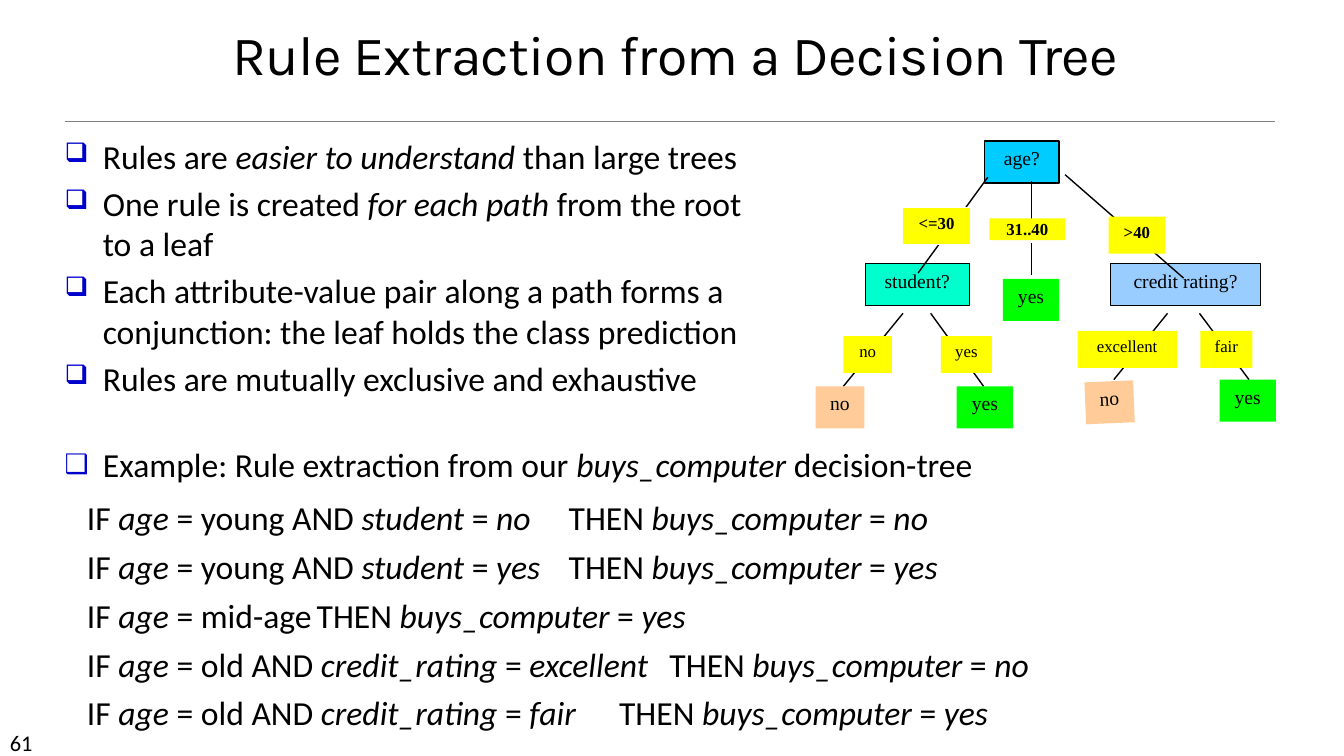
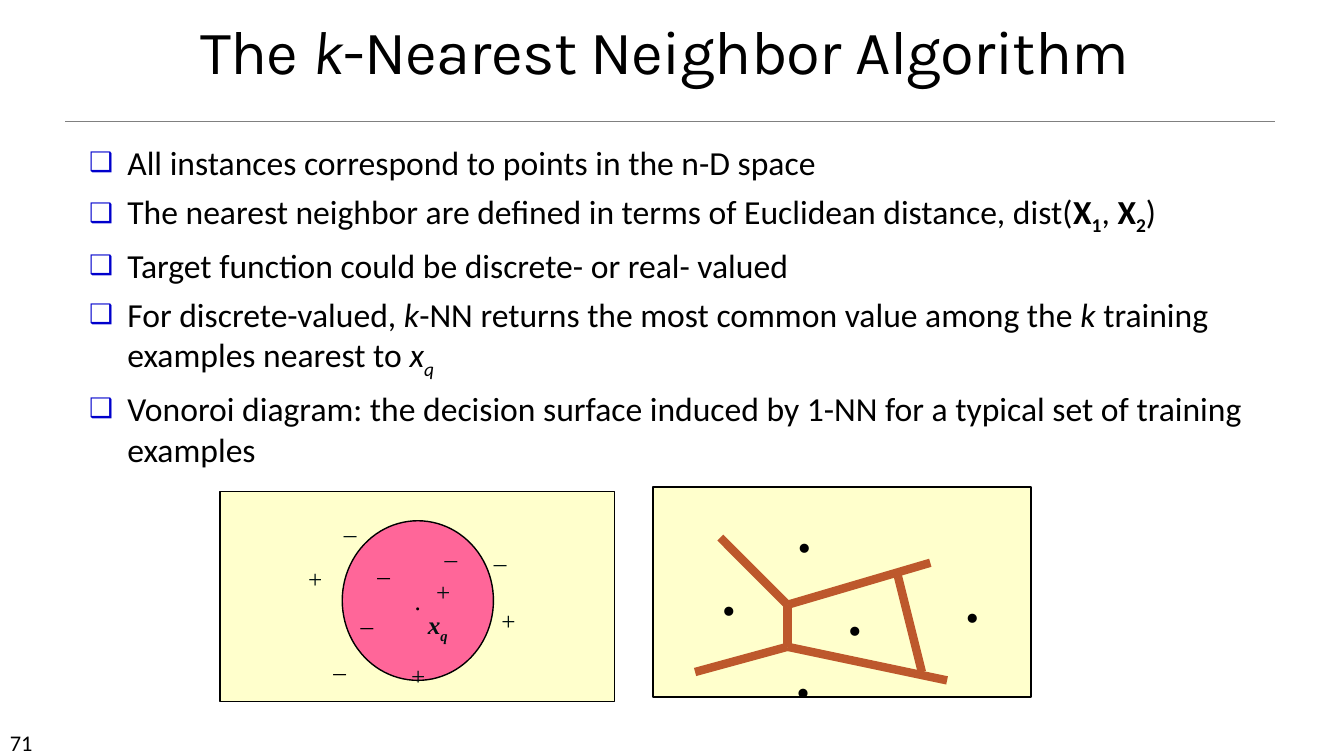
from typing import Any, NamedTuple, Optional

from lxml.etree import SubElement
from pptx import Presentation
from pptx.dml.color import RGBColor
from pptx.enum.shapes import MSO_CONNECTOR, MSO_SHAPE
from pptx.enum.text import MSO_ANCHOR, MSO_AUTO_SIZE, PP_ALIGN
from pptx.oxml.ns import qn
from pptx.util import Emu, Inches, Pt

W, H = Inches(13.3333), Inches(7.5)
COLS, ROWS = 160, 90
COLORS = {
    "ink": "000000", "soft ink": "001010", "rule": "808080", "bullet": "0000CC",
    "white": "FFFFFF", "sky": "00CCFF", "mint": "00FFCC", "blue": "99CCFF",
    "yellow": "FFFF00", "peach": "FFCC99", "green": "00FF00",
    "cream": "FFFFCC", "pink": "FF6699", "rust": "BD582C",
}
SANS, SERIF, DISPLAY = "Calibri", "Times New Roman", "Karla"
BODY = {"name": SANS, "size": Pt(24)}
STYLES = {"i": {"italic": True}, "b": {"bold": True}, "s": {}}
FRAME = {"word_wrap": True, "auto_size": MSO_AUTO_SIZE.NONE}
LOOSE = {"word_wrap": False, "auto_size": MSO_AUTO_SIZE.SHAPE_TO_FIT_TEXT}
NO_MARGINS = dict.fromkeys(("margin_left", "margin_right", "margin_top", "margin_bottom"), 0)


class Box(NamedTuple):
    """A place on the grid, in columns and rows."""
    x: float
    y: float
    w: float
    h: float


class Node(NamedTuple):
    text: str
    box: Box
    fill: str
    line: Optional[str] = None
    size: float = 14
    bold: bool = False
    turn: float = 0


class Rule(NamedTuple):
    """One IF ... THEN row; tab is where THEN starts, in inches."""
    age: str
    attr: str
    value: str
    outcome: str
    tab: float


class Mark(NamedTuple):
    x: float
    y: float
    text: str
    color: str = "soft ink"


def col(n: float) -> Emu:
    return Emu(round(W * n / COLS))


def row(n: float) -> Emu:
    return Emu(round(H * n / ROWS))


def rgb(name: str) -> RGBColor:
    return RGBColor.from_string(COLORS[name])


def place(box: Box) -> tuple:
    return col(box.x), row(box.y), col(box.w), row(box.h)


def apply(obj: Any, fmt: dict) -> None:
    for key, value in fmt.items():
        setattr(obj, key, value)


def add_runs(p: Any, runs: list, fmt: dict, color: str = "ink") -> None:
    """A run is plain text, or (text, style letters) with i, b or s for subscript."""
    for run in runs:
        text, style = (run, "") if isinstance(run, str) else run
        r = p.add_run()
        r.text = text
        apply(r.font, fmt)
        for letter in style:
            apply(r.font, STYLES[letter])
        r.font.color.rgb = rgb(color)
        if "s" in style:
            r.font._element.set("baseline", "-25000")


def set_bullet(p: Any) -> None:
    pPr = p._p.get_or_add_pPr()
    apply_indent(pPr, 0.38, -0.38)
    SubElement(SubElement(pPr, qn("a:buClr")), qn("a:srgbClr"), val=COLORS["bullet"])
    SubElement(pPr, qn("a:buSzPct"), val="80000")
    SubElement(pPr, qn("a:buChar"), char="❑")


def apply_indent(pPr: Any, left: float, first: float) -> None:
    pPr.set("marL", str(Inches(left)))
    pPr.set("indent", str(Inches(first)))


def set_tab(p: Any, tab: float) -> None:
    """Unbulleted row with one tab stop."""
    pPr = p._p.get_or_add_pPr()
    apply_indent(pPr, 0, 0.22)
    SubElement(pPr, qn("a:buNone"))
    tabs = SubElement(pPr, qn("a:tabLst"))
    SubElement(tabs, qn("a:tab"), pos=str(Inches(tab)), algn="l")


def next_paragraph(tf: Any, gap: float) -> Any:
    """First paragraph if still empty, otherwise a new one with space before."""
    first = tf.paragraphs[0]
    fresh = not first.runs
    p = first if fresh else tf.add_paragraph()
    p.space_before = Pt(0 if fresh else gap)
    return p


def add_bullets(sp: Any, items: list, gap: float) -> None:
    tf = sp.text_frame
    apply(tf, FRAME)
    for runs in items:
        p = next_paragraph(tf, gap)
        set_bullet(p)
        add_runs(p, runs, BODY)


def add_rules(sp: Any, rules: list) -> None:
    for n, rule in enumerate(rules):
        p = next_paragraph(sp.text_frame, 6 if n else 9)
        set_tab(p, rule.tab)
        extra = [" AND ", (rule.attr, "i"), " = ", (rule.value, "i")] if rule.attr else []
        add_runs(p, ["IF ", ("age", "i"), f" = {rule.age}", *extra, "\tTHEN ",
                     ("buys_computer", "i"), " = ", (rule.outcome, "i")], BODY)


def add_text(s: Any, box: Box, runs: list, fmt: dict, color: str = "ink",
             frame: dict = LOOSE) -> None:
    tf = s.shapes.add_textbox(*place(box)).text_frame
    apply(tf, frame)
    add_runs(tf.paragraphs[0], runs, fmt, color)


def add_line(s: Any, ends: tuple, color: str = "ink", width: float = 1) -> None:
    x1, y1, x2, y2 = ends
    cx = s.shapes.add_connector(MSO_CONNECTOR.STRAIGHT, col(x1), row(y1), col(x2), row(y2))
    cx.line.color.rgb = rgb(color)
    cx.line.width = Pt(width)
    SubElement(cx._element.spPr, qn("a:effectLst"))


def add_shape(s: Any, box: Box, fill: str, line: Optional[str] = "ink",
              kind: MSO_SHAPE = MSO_SHAPE.RECTANGLE) -> Any:
    sp = s.shapes.add_shape(kind, *place(box))
    sp.shadow.inherit = False
    sp.fill.solid()
    sp.fill.fore_color.rgb = rgb(fill)
    if line:
        sp.line.color.rgb = rgb(line)
        sp.line.width = Pt(1)
    else:
        sp.line.fill.background()
    return sp


def label(sp: Any, text: str, fmt: dict, anchor: MSO_ANCHOR) -> None:
    tf = sp.text_frame
    apply(tf, {"word_wrap": False, "vertical_anchor": anchor})
    p = tf.paragraphs[0]
    p.alignment = PP_ALIGN.CENTER
    add_runs(p, [text], {"name": SERIF, **fmt})


def add_node(s: Any, node: Node) -> None:
    sp = add_shape(s, node.box, node.fill, node.line)
    sp.rotation = node.turn
    slim = node.box.h < 4
    label(sp, node.text, {"size": Pt(node.size), "bold": node.bold},
          MSO_ANCHOR.MIDDLE if slim else MSO_ANCHOR.TOP)
    if slim:
        apply(sp.text_frame, NO_MARGINS)


def new_slide(prs: Any, number: int, title: list, title_box: Box, size: float,
              anchor: MSO_ANCHOR, body_box: Box) -> tuple:
    """Slide with title, rule and number; returns it with its placed body."""
    s = prs.slides.add_slide(prs.slide_layouts[1])
    add_line(s, (7.8, 14.4, 151.8, 14.4), "rule", 0.5)
    add_text(s, Box(0, 86.2, 14, 3.6), [str(number)], {"name": SANS, "size": Pt(16)},
             frame=FRAME)
    body = s.placeholders[1]
    for sp, box in ((s.shapes.title, title_box), (body, body_box)):
        apply(sp, dict(zip(("left", "top", "width", "height"), place(box))))
    tf = s.shapes.title.text_frame
    apply(tf, {**FRAME, "vertical_anchor": anchor})
    p = tf.paragraphs[0]
    apply(p, {"alignment": PP_ALIGN.CENTER, "line_spacing": 0.85})
    add_runs(p, title, {"name": DISPLAY, "size": Pt(size)})
    for r in p.runs:
        r.font._element.set("spc", "-50")
    return s, body


TESTS = [
    Node("age?", Box(117.2, 16.8, 8.9, 5), "sky", "ink"),
    Node("student?", Box(103, 31.4, 12.4, 5), "mint", "ink"),
    Node("credit rating?", Box(132.2, 31.4, 17.9, 5), "blue", "ink"),
]
BRANCHES = [
    (117.6, 21.1, 109.3, 32.5), (122.8, 21.5, 122.8, 26.2), (126.8, 20.8, 140.9, 33.1),
    (107.5, 37.3, 100.4, 46), (110.8, 37.3, 117.1, 46), (139, 37.3, 132.6, 45.2),
    (142.8, 37.3, 148.7, 45.2), (122.8, 28.9, 122.8, 32.8),
]
VALUES_AND_LEAVES = [
    Node("<=30", Box(107.4, 24.7, 8.2, 4.4), "yellow", "white", 12, True),
    Node(">40", Box(132, 25.8, 6.7, 4.4), "yellow", None, 12, True),
    Node("31..40", Box(117.8, 26, 9, 2.6), "yellow", None, 12, True),
    Node("no", Box(97.1, 46, 5.8, 5), "peach"),
    Node("yes", Box(113.9, 46, 6.7, 5), "green"),
    Node("yes", Box(145.2, 45.2, 6.7, 5), "green"),
    Node("yes", Box(119.4, 33.2, 6.7, 5), "green"),
    Node("no", Box(129.2, 45.4, 5.8, 5), "peach", turn=357.6),
    Node("fair", Box(142.9, 39.4, 6.2, 4.4), "yellow", size=12),
    Node("excellent", Box(128.3, 39.4, 11.8, 4.4), "yellow", size=12),
    Node("yes", Box(112, 40, 6.1, 4.4), "yellow", size=12),
    Node("no", Box(100.4, 40, 5.8, 4.4), "yellow", size=12),
]
RULES = [
    Rule("young", "student", "no", "no", 5.91),
    Rule("young", "student", "yes", "yes", 5.93),
    Rule("mid-age", "", "", "yes", 5.53),
    Rule("old", "credit_rating", "excellent", "no", 5.94),
    Rule("old", "credit_rating", "fair", "yes", 5.98),
]
RULE_FACTS = [
    ["Rules are ", ("easier to understand", "i"), " than large trees"],
    ["One rule is created ", ("for each path", "i"), " from the root to a leaf"],
    ["Each attribute-value pair along a path forms a conjunction: "
     "the leaf holds the class prediction"],
    ["Rules are mutually exclusive and exhaustive"],
]
EXAMPLE = ["Example: Rule extraction from our ", ("buys_computer", "i"), " decision-tree"]
NEIGHBOR_FACTS = [
    ["All instances correspond to points in the n-D space"],
    ["The nearest neighbor are defined in terms of Euclidean distance, dist(",
     ("X", "b"), ("1", "bs"), ", ", ("X", "b"), ("2", "bs"), ")"],
    ["Target function could be discrete- or real- valued"],
    ["For discrete-valued, ", ("k", "i"), "-NN returns the most common value among the ",
     ("k", "i"), " training examples nearest to ", ("x", "i"), ("q", "is")],
    ["Vonoroi diagram: the decision surface induced by 1-NN for a typical set "
     "of training examples"],
]
SAMPLES = [
    Mark(43.75, 65, "_", "ink"), Mark(50.75, 68, "+"), Mark(41.75, 71, "_", "ink"),
    Mark(47.75, 78, "+"), Mark(51.75, 63, "_"), Mark(57.6, 63.5, "_"),
    Mark(35.5, 66.5, "+"), Mark(38.5, 76.5, "_", "ink"), Mark(39.75, 60, "_"),
    Mark(58.5, 71.5, "+"),
]
SITES = [(93.75, 58.5), (99.75, 68.4), (93.6, 75.8), (84.75, 66), (113.75, 66.8)]
CELL_EDGES = [
    (85.75, 64, 93.75, 72), (93.75, 72, 110.75, 67), (93.75, 72, 93.75, 77),
    (93.75, 77, 112.75, 81), (93.75, 77, 82.75, 80), (106.75, 68, 109.75, 80),
]


def rule_slide(prs: Any) -> None:
    s, body = new_slide(prs, 61, ["Rule Extraction from a Decision Tree"],
                        Box(22.7, 3, 115.3, 8), 39.6, MSO_ANCHOR.BOTTOM,
                        Box(6.5, 52.3, 126.2, 36.1))
    for node in TESTS:
        add_node(s, node)
    for ends in BRANCHES:
        add_line(s, ends)
    for node in VALUES_AND_LEAVES:
        add_node(s, node)
    add_bullets(body, [EXAMPLE], 6)
    add_rules(body, RULES)
    add_bullets(s.shapes.add_textbox(*place(Box(6.5, 15.6, 84.8, 36.7))), RULE_FACTS, 4.8)


def neighbor_slide(prs: Any) -> None:
    s, body = new_slide(prs, 71, ["The ", ("k", "i"), "-Nearest Neighbor Algorithm"],
                        Box(6.8, 0, 144.7, 13.3), 44, MSO_ANCHOR.MIDDLE,
                        Box(9.4, 16.3, 140.2, 39.5))
    add_bullets(body, NEIGHBOR_FACTS, 6)
    add_shape(s, Box(26.2, 58.5, 47, 25), "cream")
    add_shape(s, Box(77.75, 58, 45, 25), "cream")
    circle = add_shape(s, Box(40.75, 62, 18, 19), "pink", kind=MSO_SHAPE.OVAL)
    serif = {"name": SERIF, "size": Pt(18)}
    label(circle, ".", serif, MSO_ANCHOR.MIDDLE)
    for m in SAMPLES:
        add_text(s, Box(m.x, m.y, 4, 4.8), [m.text], serif, m.color)
    add_text(s, Box(49.75, 72, 4.8, 4.8), [("x", "bi"), ("q", "bis")], serif, "soft ink")
    for ends in CELL_EDGES:
        add_line(s, ends, "rust", 6)
    for x, y in SITES:
        add_text(s, Box(x, y, 4, 9.2), ["."], {"name": SERIF, "size": Pt(40), "bold": True})


def main() -> None:
    prs = Presentation()
    prs.slide_width, prs.slide_height = W, H
    rule_slide(prs)
    neighbor_slide(prs)
    prs.save("out.pptx")


if __name__ == "__main__":
    main()
